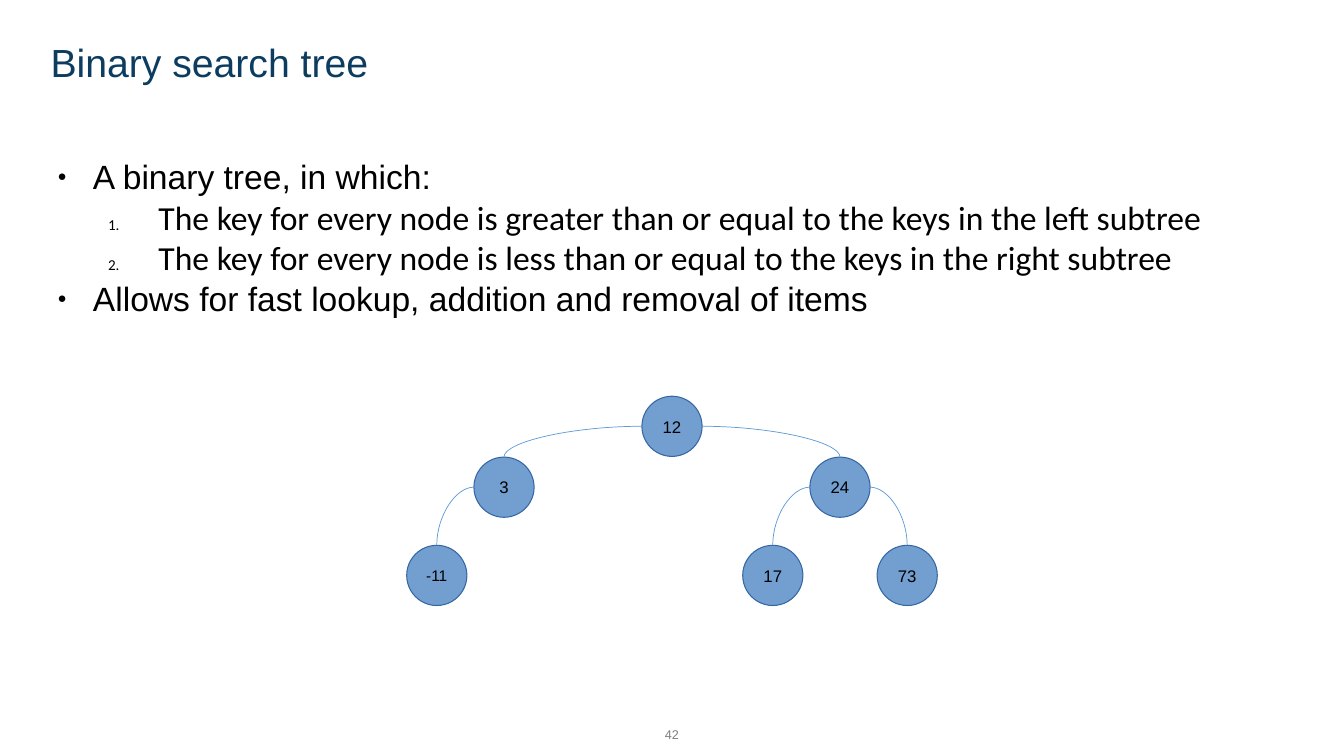
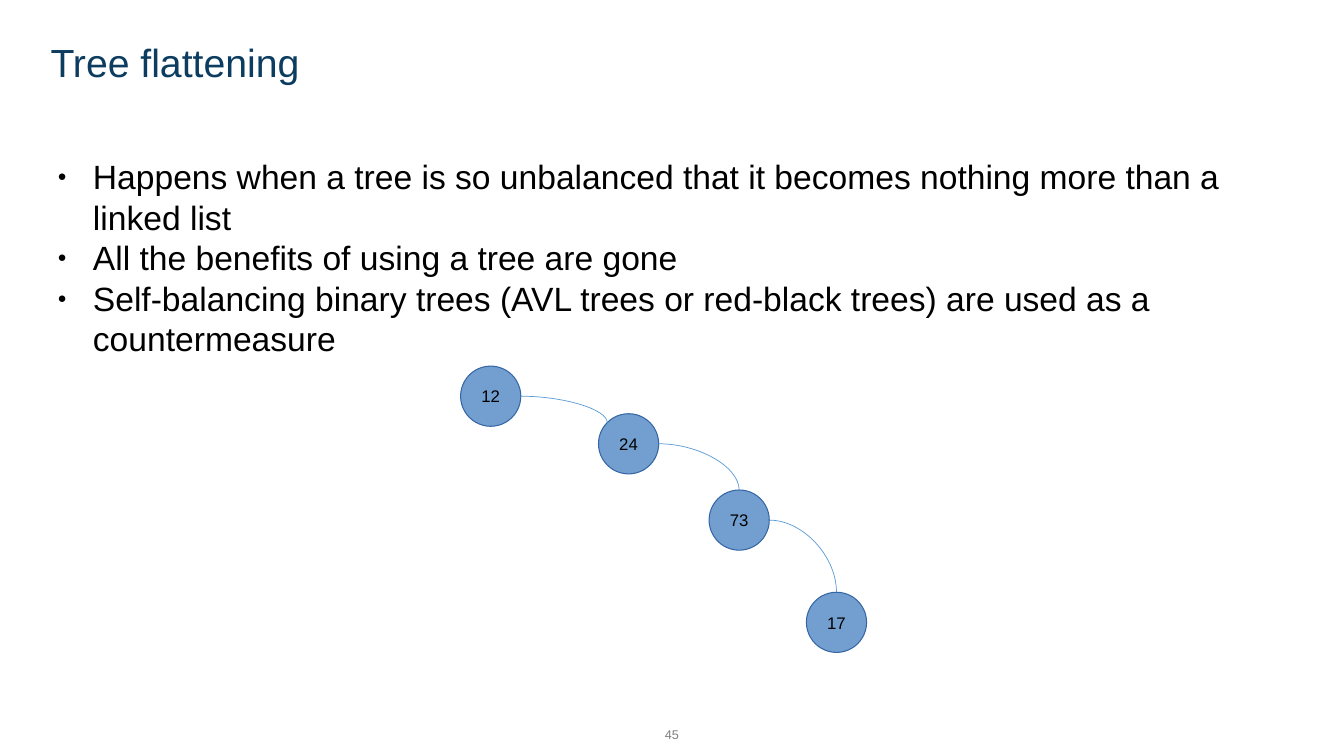
from collections import namedtuple
from math import sqrt

from lxml.etree import SubElement
from pptx import Presentation
from pptx.dml.color import RGBColor
from pptx.enum.shapes import MSO_CONNECTOR, MSO_SHAPE
from pptx.enum.text import MSO_ANCHOR, PP_ALIGN
from pptx.oxml.ns import qn
from pptx.util import Pt

Box = namedtuple("Box", "left top width height")
Node = namedtuple("Node", "key x y size", defaults=(12,))
Edge = namedtuple("Edge", "parent child side site", defaults=("right", "top"))

TITLE_BOX = Box(29, 14.4, 794, 63.4)
BODY_BOX = Box(29, 108, 865, 378)
NUMBER_BOX = Box(372, 510.5, 216, 28.8)

TITLE_COLOR = "0C3D60"
TEXT_COLOR = "000000"
NUMBER_COLOR = "7F7F7F"
NODE_FILL = "729FCF"
NODE_LINE = "3465A4"
EDGE_COLOR = "5B9BD5"
NODE_SIZE = 43
SITE_INDEX = {"top": 0, "top left": 1, "left": 2, "right": 6}


def rgb(hex_string):
    return RGBColor.from_string(hex_string)


def add_text(paragraph, text, size=24, color=TEXT_COLOR, font="Arial",
             align=None, spacing=None):
    paragraph.alignment = align
    paragraph.line_spacing = spacing
    paragraph.space_before = paragraph.space_after = Pt(0)
    run = paragraph.add_run()
    run.text = text
    run.font.name = font
    run.font.size = Pt(size)
    run.font.color.rgb = rgb(color)


def add_frame(slide, box, anchor=MSO_ANCHOR.MIDDLE):
    frame = slide.shapes.add_textbox(*map(Pt, box)).text_frame
    frame.word_wrap = True
    frame.vertical_anchor = anchor
    return frame


def add_marker(paragraph, numbered):
    properties = paragraph._p.get_or_add_pPr()
    margin, indent = (80.6, -36) if numbered else (33.8, -25.2)
    properties.set("marL", str(Pt(margin)))
    properties.set("indent", str(Pt(indent)))
    color = SubElement(properties, qn("a:buClr"))
    SubElement(color, qn("a:srgbClr"), val=TEXT_COLOR)
    SubElement(properties, qn("a:buSzPct"), val="45000")
    if numbered:
        properties.set("lvl", "1")
        SubElement(properties, qn("a:buAutoNum"), type="arabicPeriod")
    else:
        SubElement(properties, qn("a:buFont"), typeface="Arial")
        SubElement(properties, qn("a:buChar"), char="●")


def add_body(slide, box, points):
    frame = add_frame(slide, box, MSO_ANCHOR.TOP)
    frame.margin_left = frame.margin_right = Pt(3.6)
    for index, (text, numbered) in enumerate(points):
        paragraph = frame.add_paragraph() if index else frame.paragraphs[0]
        add_marker(paragraph, numbered)
        add_text(paragraph, text, font="Calibri" if numbered else "Arial",
                 spacing=Pt(28.9))


def add_node(slide, left, top, node):
    circle = slide.shapes.add_shape(
        MSO_SHAPE.OVAL, Pt(left + node.x), Pt(top + node.y),
        Pt(NODE_SIZE), Pt(NODE_SIZE))
    circle.shadow.inherit = False
    circle.fill.solid()
    circle.fill.fore_color.rgb = rgb(NODE_FILL)
    circle.line.color.rgb = rgb(NODE_LINE)
    circle.line.width = Pt(0.75)
    frame = circle.text_frame
    frame.vertical_anchor = MSO_ANCHOR.MIDDLE
    add_text(frame.paragraphs[0], node.key, size=node.size,
             align=PP_ALIGN.CENTER)
    return circle


def site_position(circle, site):
    corner = (1 - sqrt(0.5)) / 2
    across, down = {"top": (0.5, 0), "top left": (corner, corner),
                    "left": (0, 0.5), "right": (1, 0.5)}[site]
    return (int(circle.left + across * circle.width),
            int(circle.top + down * circle.height))


def add_edge(slide, circles, edge):
    parent, child = circles[edge.parent], circles[edge.child]
    curve = slide.shapes.add_connector(
        MSO_CONNECTOR.CURVE, *site_position(parent, edge.side),
        *site_position(child, edge.site))
    curve.line.color.rgb = rgb(EDGE_COLOR)
    curve.line.width = Pt(0.5)
    properties = curve._element.spPr
    properties.find(qn("a:prstGeom")).set("prst", "curvedConnector2")
    SubElement(properties, qn("a:effectLst"))
    links = curve._element.nvCxnSpPr.cNvCxnSpPr
    for tag, circle, site in (("a:stCxn", parent, edge.side),
                              ("a:endCxn", child, edge.site)):
        SubElement(links, qn(tag), id=str(circle.shape_id),
                   idx=str(SITE_INDEX[site]))


def add_tree(slide, left, top, nodes, edges):
    circles = {node.key: add_node(slide, left, top, node) for node in nodes}
    for edge in edges:
        add_edge(slide, circles, edge)


def add_tree_slide(deck, title, number, points):
    slide = deck.slides.add_slide(deck.slide_layouts[6])
    add_text(add_frame(slide, TITLE_BOX).paragraphs[0], title, size=28,
             color=TITLE_COLOR, spacing=0.9)
    add_text(add_frame(slide, NUMBER_BOX).paragraphs[0], number, size=9,
             color=NUMBER_COLOR, align=PP_ALIGN.CENTER)
    add_body(slide, BODY_BOX, points)
    return slide


def main():
    deck = Presentation()
    deck.slide_width, deck.slide_height = Pt(960), Pt(540)

    search = add_tree_slide(deck, "Binary search tree", "42", [
        ("A binary tree, in which:", False),
        ("The key for every node is greater than or equal to the keys "
         "in the left subtree", True),
        ("The key for every node is less than or equal to the keys "
         "in the right subtree", True),
        ("Allows for fast lookup, addition and removal of items", False),
    ])
    add_tree(search, 290.5, 283, [
        Node("12", 168, 0),
        Node("3", 48, 43.5),
        Node("-11", 0, 106.5, 11),
        Node("17", 240, 106.5),
        Node("24", 288, 43.5),
        Node("73", 336, 106.5),
    ], [
        Edge("12", "3", "left"),
        Edge("3", "-11", "left"),
        Edge("12", "24"),
        Edge("24", "73"),
        Edge("24", "17", "left"),
    ])

    flattening = add_tree_slide(deck, "Tree flattening", "45", [
        ("Happens when a tree is so unbalanced that it becomes nothing "
         "more than a linked list", False),
        ("All the benefits of using a tree are gone", False),
        ("Self-balancing binary trees (AVL trees or red-black trees) "
         "are used as a countermeasure", False),
    ])
    add_tree(flattening, 329, 261.5, [
        Node("12", 0, 0),
        Node("24", 98.5, 34),
        Node("73", 177.5, 88.5),
        Node("17", 247, 161.5),
    ], [
        Edge("12", "24", site="top left"),
        Edge("24", "73"),
        Edge("73", "17"),
    ])
    deck.save("out.pptx")


if __name__ == "__main__":
    main()
